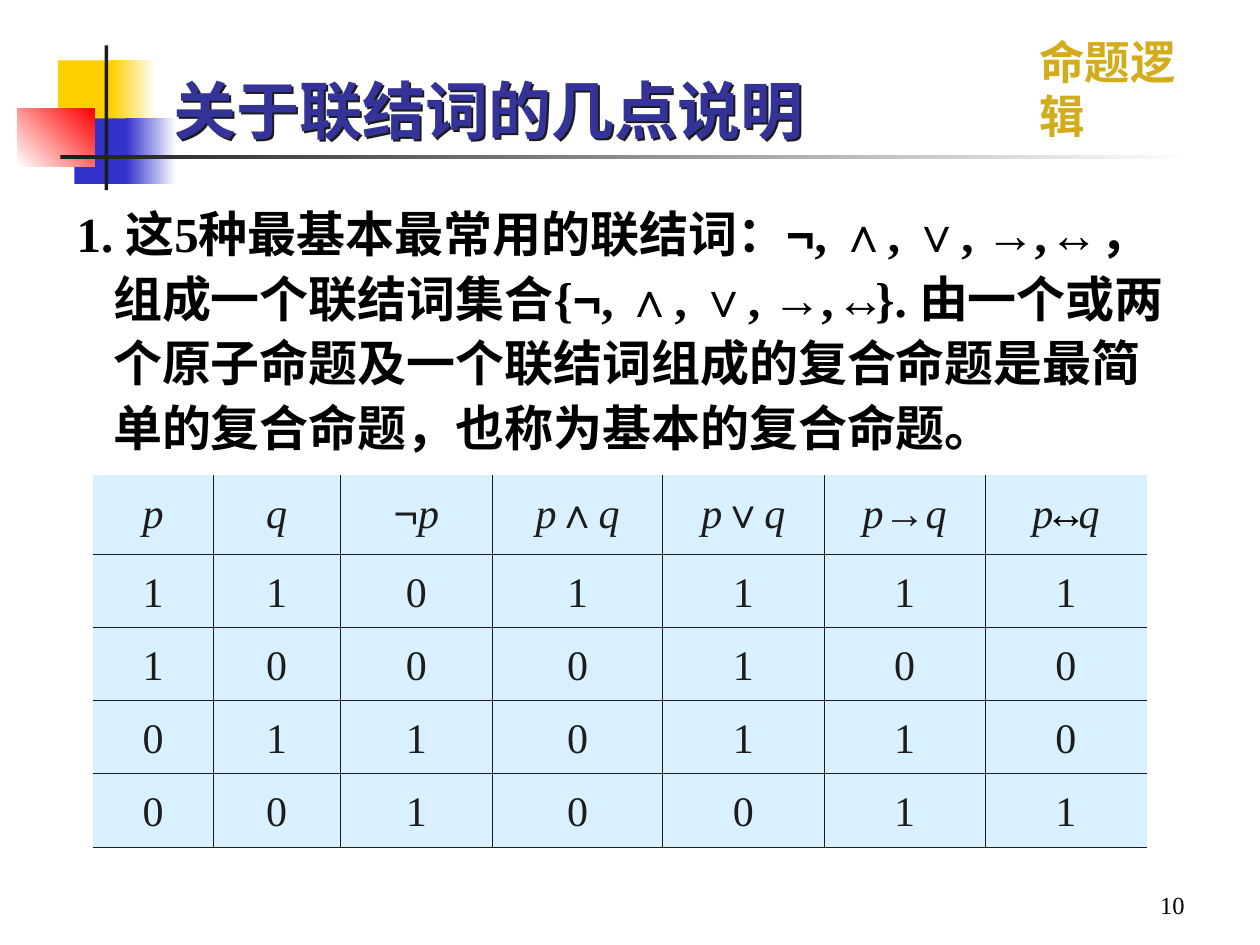
from dataclasses import dataclass
from typing import Iterable

from lxml import etree
from pptx import Presentation
from pptx import util as u
from pptx.dml import color as dml
from pptx.enum import shapes, text
from pptx.oxml import ns

SCALE = 9144  # EMU in one px, at 100 px to the inch
HUES = {
    "gold": "FFCF01", "blue": "3333CC", "red": "FF0000", "dark": "1C1C1C",
    "white": "FFFFFF", "label": "D3AC1B", "title": "333399", "black": "000000",
    "cell": "D9F1FF",
}
ARIAL = {"name": "Arial"}
MARKS = {
    "¬": ARIAL, "∧": ARIAL, "∨": ARIAL, "→": ARIAL,
    "↔": {"name": "Courier New", "italic": False, "hue": "black"},
}
SERIF = {"name": "Times New Roman"}


@dataclass
class Block:
    left: int
    top: int
    width: int
    height: int
    start: str
    end: str = ""
    angle: int = 0


BLOCKS = [
    Block(46, 48, 48, 52, "gold"),
    Block(88, 48, 36, 52, "gold", "white"),
    Block(59, 94, 46, 52, "blue"),
    Block(100, 94, 40, 52, "blue", "white"),
    Block(14, 86, 61, 46, "white", "red", 45),
    Block(83, 36, 3, 115, "dark"),
    Block(48, 123, 900, 3, "dark", "white"),
]
BODY = [
    "1. 这5种最基本最常用的联结词：", "¬", ", ", "∧", ", ", "∨", ", ", "→", ", ",
    "↔", " ，组成一个联结词集合{", "¬", ", ", "∧", ", ", "∨", ", ", "→", ", ", "↔",
    "}. 由一个或两个原子命题及一个联结词组成的复合命题"
    "是最简单的复合命题，也称为基本的复合命题。",
]
HEADS = ["p", "q", "¬p", "p∧q", "p∨q", "p→q", "p↔q"]
TRUTH = ["1101111", "1000100", "0110110", "0010011"]
COLS = [95, 101, 121, 135, 128, 128, 128]
ROWS = [63, 58, 58, 58, 58]


def px(size: int) -> u.Emu:
    return u.Emu(size * SCALE)


def rgb(hue: str) -> dml.RGBColor:
    return dml.RGBColor.from_string(HUES[hue])


def place(shape, left: int, top: int, width: int, height: int) -> None:
    for key, size in zip(("left", "top", "width", "height"), (left, top, width, height)):
        setattr(shape, key, px(size))


def write(para, parts: Iterable[str], form: dict) -> None:
    """Add one run a part; a logic mark at its head changes the format."""
    for part in parts:
        run = para.add_run()
        run.text = part
        for key, value in {**form, **MARKS.get(part[0], {})}.items():
            if key == "hue":
                run.font.color.rgb = rgb(value)
            else:
                setattr(run.font, key, value)


def add_block(slide, block: Block) -> None:
    shape = slide.shapes.add_shape(shapes.MSO_SHAPE.RECTANGLE, 0, 0, 0, 0)
    place(shape, block.left, block.top, block.width, block.height)
    shape.shadow.inherit = False
    shape.line.fill.background()
    if block.end:
        shape.fill.gradient()
        shape.fill.gradient_angle = block.angle
        for stop, hue in zip(shape.fill.gradient_stops, (block.start, block.end)):
            stop.color.rgb = rgb(hue)
    else:
        shape.fill.solid()
        shape.fill.fore_color.rgb = rgb(block.start)


def add_text(slide, spot: tuple, parts: list[str], form: dict):
    box = slide.shapes.add_textbox(0, 0, 0, 0)
    place(box, *spot)
    box.text_frame.word_wrap = True
    para = box.text_frame.paragraphs[0]
    write(para, parts, form)
    return box.text_frame, para


def add_title(slide) -> None:
    title = slide.shapes.title
    place(title, 128, -3, 900, 125)
    frame = title.text_frame
    frame.vertical_anchor = text.MSO_ANCHOR.BOTTOM
    frame.auto_size = text.MSO_AUTO_SIZE.NONE
    para = frame.paragraphs[0]
    para.alignment = text.PP_ALIGN.LEFT
    write(para, ["关于联结词的几点说明"],
          {"name": "Lato", "size": u.Pt(36), "bold": True, "hue": "title"})
    # On a shape with no fill or line, the shadow falls from the text.
    title.fill.background()
    title.line.fill.background()
    title.shadow.inherit = False
    effect = title._element.spPr.find(ns.qn("a:effectLst"))
    shade = etree.SubElement(effect, ns.qn("a:outerShdw"), dist="17961", dir="2700000")
    etree.SubElement(shade, ns.qn("a:srgbClr"), val=HUES["dark"])


def rule(cell, edges: dict[str, bool]) -> None:
    """Draw the cell edges that are on, and clear the others."""
    props = cell._tc.get_or_add_tcPr()
    for rank, (edge, shown) in enumerate(edges.items()):
        line = etree.Element(ns.qn(f"a:ln{edge}"), w=str(u.Pt(0.45)))
        if shown:
            fill = etree.SubElement(line, ns.qn("a:solidFill"))
            etree.SubElement(fill, ns.qn("a:srgbClr"), val=HUES["dark"])
        else:
            etree.SubElement(line, ns.qn("a:noFill"))
        props.insert(rank, line)


def add_table(slide) -> None:
    grid = [HEADS, *TRUTH]
    table = slide.shapes.add_table(
        len(ROWS), len(COLS), px(74), px(377), px(sum(COLS)), px(sum(ROWS))).table
    table.first_row = table.horz_banding = False
    for col, width in zip(table.columns, COLS):
        col.width = px(width)
    for row, height in zip(table.rows, ROWS):
        row.height = px(height)
    for r, line in enumerate(grid):
        for c, label in enumerate(line):
            cell = table.cell(r, c)
            cell.fill.solid()
            cell.fill.fore_color.rgb = rgb("cell")
            rule(cell, {"L": c > 0, "R": c < len(COLS) - 1, "T": r > 0, "B": True})
            para = cell.text_frame.paragraphs[0]
            para.alignment = text.PP_ALIGN.CENTER
            para.line_spacing = 1.2
            write(para, label,
                  {**SERIF, "size": u.Pt(24), "italic": r == 0, "hue": "dark"})


def main() -> None:
    deck = Presentation()
    deck.slide_width, deck.slide_height = px(1000), px(750)
    slide = deck.slides.add_slide(deck.slide_layouts[5])
    for block in BLOCKS:
        add_block(slide, block)
    frame, _ = add_text(slide, (815, 22, 164, 54), ["命题逻辑"],
                        {"name": "Lato", "size": u.Pt(26), "bold": True, "hue": "label"})
    frame.word_wrap = False
    frame.auto_size = text.MSO_AUTO_SIZE.SHAPE_TO_FIT_TEXT
    add_title(slide)

    _, para = add_text(slide, (51, 152, 890, 239), BODY,
                       {**SERIF, "size": u.Pt(28), "bold": True, "hue": "black"})
    para.line_spacing = 1.1
    props = para._p.get_or_add_pPr()
    props.set("marL", str(px(29)))
    props.set("indent", str(px(-29)))

    add_table(slide)
    frame, para = add_text(slide, (717, 683, 233, 52), ["10"],
                           {**SERIF, "size": u.Pt(14), "hue": "black"})
    frame.vertical_anchor = text.MSO_ANCHOR.BOTTOM
    para.alignment = text.PP_ALIGN.RIGHT
    deck.save("out.pptx")


if __name__ == "__main__":
    main()
